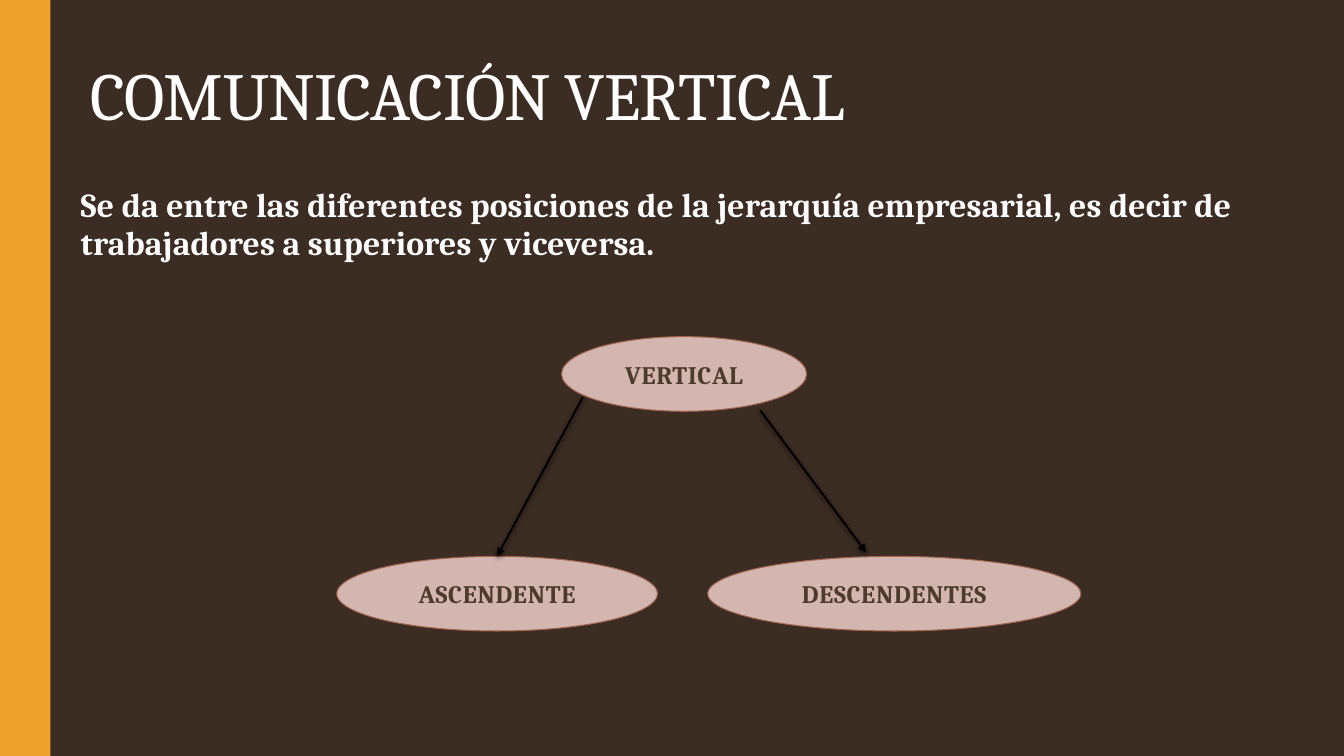
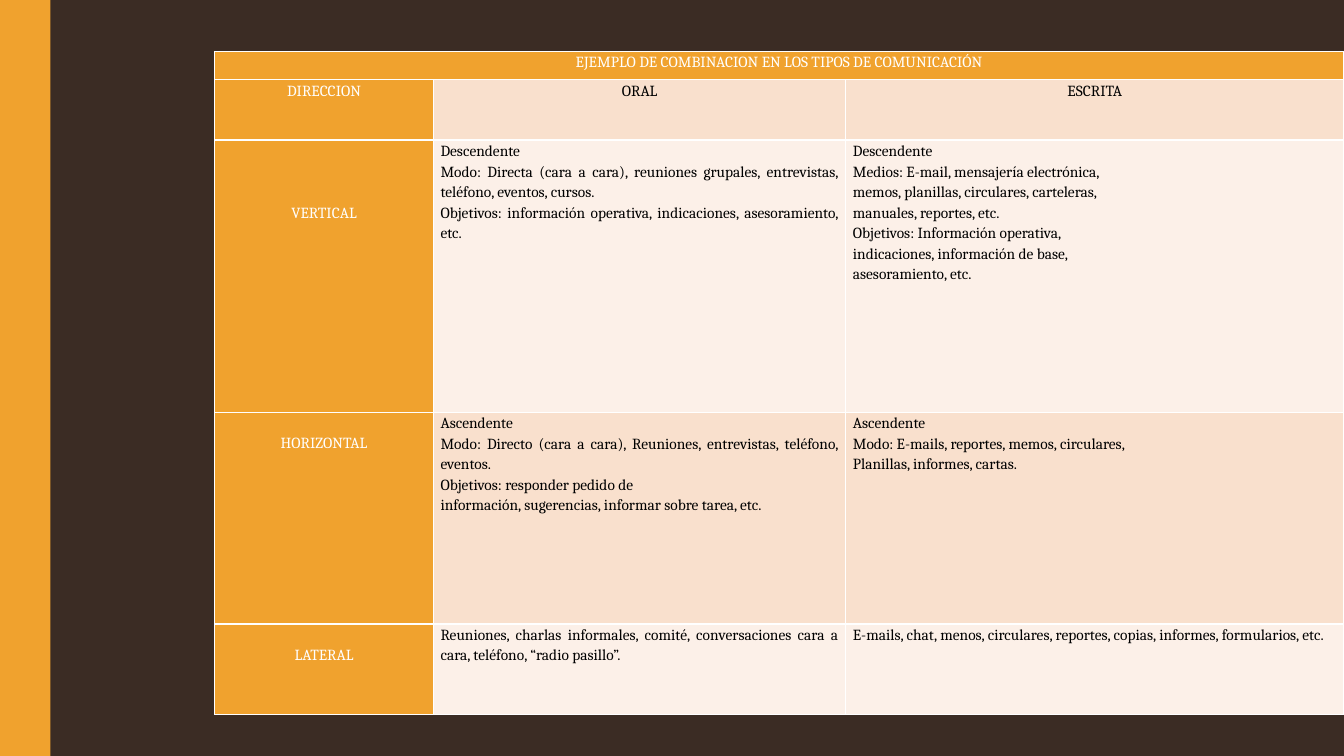
from lxml import etree
from pptx import Presentation, util as u
from pptx.dml.color import RGBColor
from pptx.enum import shapes, text
from pptx.oxml import parse_xml
from pptx.oxml.ns import nsdecls, qn

FONT = "Cambria"
BROWN = RGBColor(0x3B, 0x2C, 0x24)
ORANGE = RGBColor(0xF0, 0xA2, 0x2E)
WHITE = RGBColor(0xFF, 0xFF, 0xFF)
BLACK = RGBColor(0, 0, 0)
ROSE = RGBColor(0xD2, 0xB6, 0xAF)
RUST = RGBColor(0xA5, 0x64, 0x4E)
COCOA = RGBColor(0x4E, 0x3B, 0x30)
PEACH = RGBColor(0xF9, 0xE0, 0xCD)
CREAM = RGBColor(0xFC, 0xF0, 0xE8)

TITLE = "COMUNICACIÓN VERTICAL"
DEFINITION = (
    "Se da entre las diferentes posiciones de la jerarquía empresarial, "
    "es decir de trabajadores a superiores y viceversa."
)
OVAL_HEIGHT = 0.74
OVALS = [
    ("VERTICAL", 5.57, 3.34, 2.43),
    ("DESCENDENTES", 7.02, 5.52, 3.7),
    ("ASCENDENTE", 3.34, 5.52, 3.18),
]
ARROWS = [(5.78, 3.94, 4.93, 5.52), (7.54, 4.07, 8.59, 5.48)]

TABLE_TITLE = "EJEMPLO DE COMBINACION EN LOS TIPOS DE COMUNICACIÓN"
HEADINGS = ["DIRECCION", "ORAL", "ESCRITA"]
DIRECTIONS = [
    (
        "VERTICAL",
        [
            "Descendente",
            "Modo: Directa (cara a cara), reuniones grupales, entrevistas, teléfono, eventos, cursos.",
            "Objetivos: información operativa, indicaciones, asesoramiento, etc.",
        ],
        [
            "Descendente",
            "Medios: E-mail, mensajería electrónica,",
            "memos, planillas, circulares, carteleras,",
            "manuales, reportes, etc.",
            "Objetivos: Información operativa,",
            "indicaciones, información de base,",
            "asesoramiento, etc.",
        ],
    ),
    (
        "HORIZONTAL",
        [
            "Ascendente",
            "Modo: Directo (cara a cara), Reuniones, entrevistas, teléfono, eventos.",
            "Objetivos: responder pedido de",
            "información, sugerencias, informar sobre tarea, etc.",
        ],
        [
            "Ascendente",
            "Modo: E-mails, reportes, memos, circulares,",
            "Planillas, informes, cartas.",
        ],
    ),
    (
        "LATERAL",
        [
            "Reuniones, charlas informales, comité, conversaciones cara a cara, "
            "teléfono, “radio pasillo”."
        ],
        ["E-mails, chat, menos, circulares, reportes, copias, informes, formularios, etc."],
    ),
]
COLUMN_WIDTHS = [2.17, 4.09, 4.94]
ROW_HEIGHTS = [0.28, 0.6, 2.7, 2.1, 0.9]
LABEL_DROPS = [0.61, 0.2, 0.2]


def style(paragraph, size, color, align, bold=False, line_spacing=1.0, tracking=0):
    paragraph.font.name = FONT
    paragraph.font.size = u.Pt(size)
    paragraph.font.bold = bold
    paragraph.font.color.rgb = color
    paragraph.alignment = align
    paragraph.line_spacing = line_spacing
    if tracking:
        for run in paragraph.runs:
            run._r.get_or_add_rPr().set("spc", str(round(tracking * 100)))


def fill_placeholder(shape, words, box, anchor):
    shape.left, shape.top, shape.width, shape.height = map(u.Inches, box)
    frame = shape.text_frame
    frame.text = words
    frame.word_wrap = True
    frame.auto_size = text.MSO_AUTO_SIZE.NONE
    frame.vertical_anchor = anchor
    return frame.paragraphs[0]


def set_theme(presentation, slide):
    master = presentation.slide_master
    master.background.fill.solid()
    master.background.fill.fore_color.rgb = BROWN
    band = slide.shapes.add_shape(
        shapes.MSO_SHAPE.RECTANGLE, 0, 0, u.Inches(0.5), presentation.slide_height
    )
    band.shadow.inherit = False
    band.fill.solid()
    band.fill.fore_color.rgb = ORANGE
    band.line.fill.background()
    master.shapes.element.insert(2, band.element)


def add_oval(slide, label, left, top, width):
    oval = slide.shapes.add_shape(
        shapes.MSO_SHAPE.OVAL, *map(u.Inches, (left, top, width, OVAL_HEIGHT))
    )
    oval.shadow.inherit = False
    oval.fill.solid()
    oval.fill.fore_color.rgb = ROSE
    oval.line.color.rgb = RUST
    oval.line.width = u.Pt(0.75)
    frame = oval.text_frame
    frame.text = label
    frame.word_wrap = False
    frame.vertical_anchor = text.MSO_ANCHOR.MIDDLE
    style(frame.paragraphs[0], 18, COCOA, text.PP_ALIGN.CENTER, bold=True, tracking=0.5)


def add_arrow(slide, ends):
    arrow = slide.shapes.add_connector(shapes.MSO_CONNECTOR.STRAIGHT, *map(u.Inches, ends))
    arrow.line.color.rgb = BLACK
    arrow.line.width = u.Pt(1.35)
    etree.SubElement(arrow.line._get_or_add_ln(), qn("a:tailEnd"), type="triangle")
    arrow.element.spPr.append(parse_xml(
        f'<a:effectLst {nsdecls("a")}>'
        f'<a:outerShdw blurRad="{u.Pt(4)}" dist="{u.Pt(1.2)}" dir="5400000">'
        '<a:srgbClr val="000000"><a:alpha val="75000"/></a:srgbClr>'
        "</a:outerShdw></a:effectLst>"
    ))


def fill_cell(cell, lines, fill, color, align, drop=0):
    properties = cell._tc.get_or_add_tcPr()
    for side in "LRTB":
        properties.append(parse_xml(
            f'<a:ln{side} {nsdecls("a")} w="{u.Pt(1)}"><a:solidFill>'
            f'<a:srgbClr val="{WHITE}"/></a:solidFill></a:ln{side}>'
        ))
    cell.fill.solid()
    cell.fill.fore_color.rgb = fill
    cell.margin_left = cell.margin_right = u.Inches(0.07)
    cell.margin_top, cell.margin_bottom = u.Inches(drop), 0
    cell.text_frame.text = "\n".join(lines)
    for paragraph in cell.text_frame.paragraphs:
        style(paragraph, 11, color, align, line_spacing=1.15)


def build_diagram(slide):
    title = fill_placeholder(
        slide.shapes.title, TITLE, (0.8, 0.46, 10.3, 0.92), text.MSO_ANCHOR.BOTTOM
    )
    style(title, 48, WHITE, text.PP_ALIGN.LEFT, line_spacing=0.85, tracking=-0.5)
    definition = fill_placeholder(
        slide.placeholders[1], DEFINITION, (0.7, 1.8, 11.93, 1.85), text.MSO_ANCHOR.TOP
    )
    style(definition, 24, WHITE, text.PP_ALIGN.LEFT, bold=True, line_spacing=0.95, tracking=0.1)
    definition.space_before, definition.space_after = u.Pt(14), u.Pt(2)
    for oval in OVALS:
        add_oval(slide, *oval)
    for ends in ARROWS:
        add_arrow(slide, ends)


def build_table(slide):
    box = (2.13, 0.51, sum(COLUMN_WIDTHS), sum(ROW_HEIGHTS))
    table = slide.shapes.add_table(
        len(ROW_HEIGHTS), len(COLUMN_WIDTHS), *map(u.Inches, box)
    ).table
    table.first_row = table.horz_banding = False
    for column, width in zip(table.columns, COLUMN_WIDTHS):
        column.width = u.Inches(width)
    for row, height in zip(table.rows, ROW_HEIGHTS):
        row.height = u.Inches(height)

    center, justify = text.PP_ALIGN.CENTER, text.PP_ALIGN.JUSTIFY
    table.cell(0, 0).merge(table.cell(0, 2))
    fill_cell(table.cell(0, 0), [TABLE_TITLE], ORANGE, WHITE, center)
    for column, heading in enumerate(HEADINGS):
        fill, color = (PEACH, BLACK) if column else (ORANGE, WHITE)
        fill_cell(table.cell(1, column), [heading], fill, color, center)
    for row, ((label, *details), drop) in enumerate(zip(DIRECTIONS, LABEL_DROPS), 2):
        fill_cell(table.cell(row, 0), [label], ORANGE, WHITE, center, drop)
        for column, lines in enumerate(details, 1):
            fill_cell(table.cell(row, column), lines, PEACH if row % 2 else CREAM, BLACK, justify)


def main():
    presentation = Presentation()
    presentation.slide_width, presentation.slide_height = u.Inches(13.33), u.Inches(7.5)
    diagram_slide = presentation.slides.add_slide(presentation.slide_layouts[0])
    table_slide = presentation.slides.add_slide(presentation.slide_layouts[6])
    set_theme(presentation, diagram_slide)
    build_diagram(diagram_slide)
    build_table(table_slide)
    presentation.save("out.pptx")


if __name__ == "__main__":
    main()
